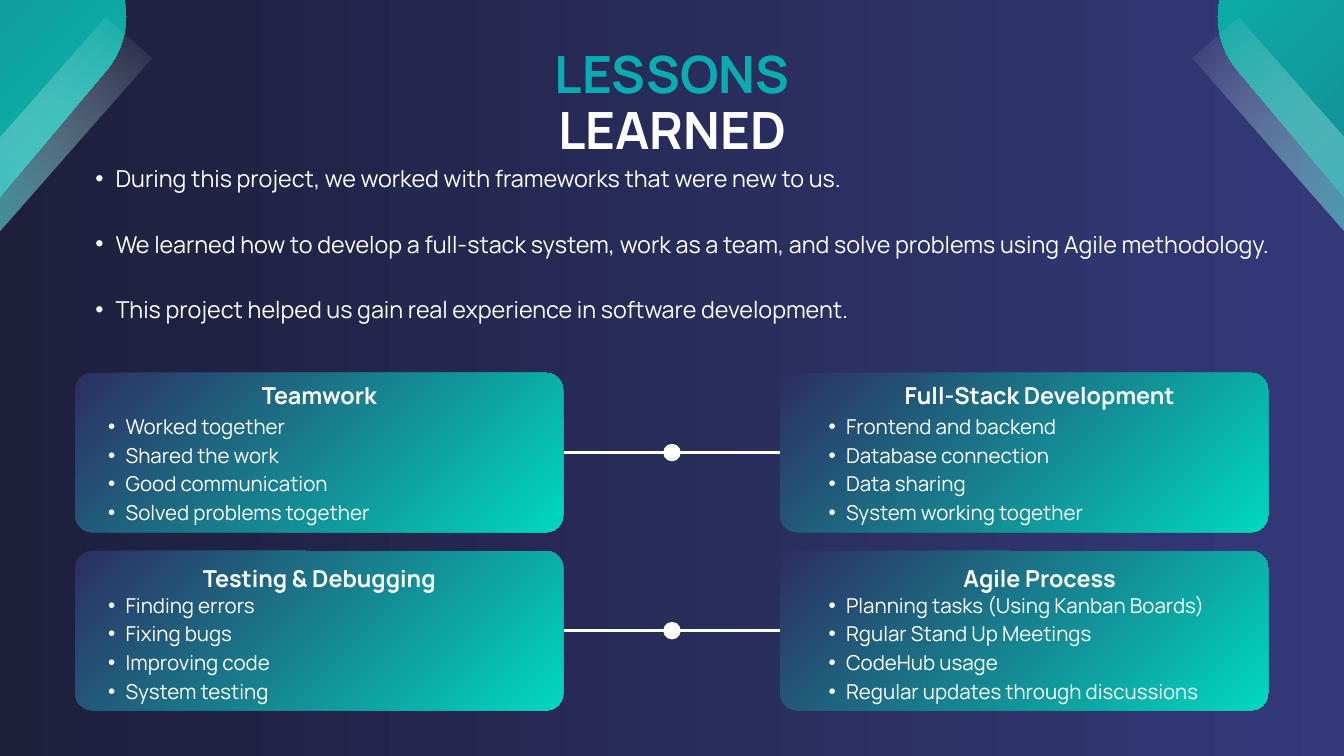
from lxml import etree
from pptx import Presentation
from pptx.dml.color import RGBColor
from pptx.enum.shapes import MSO_CONNECTOR as Link, MSO_SHAPE as Kind
from pptx.enum.text import PP_ALIGN as Align
from pptx.oxml.ns import qn
from pptx.util import Inches, Pt

NAVY, MINT, TEAL, WHITE = "2D2E62", "00D8BE", "08ACB1", "FFFFFF"
FONT = "Manrope"
CARD_W, CARD_H = 7.26, 2.37
# left edge of card, of its heading and of its list
COLS = [(1.12, 1.74, 1.35), (11.61, 12.46, 12.07)]
# top edge of card, of its headings and of its lists
ROWS = [(5.55, 5.6, 6.1), (8.2, 8.33, 8.76)]
CARDS = [
    [
        ("Teamwork", ["Worked together", "Shared the work",
                      "Good communication", "Solved problems together"]),
        ("Full-Stack Development", ["Frontend and backend", "Database connection",
                                    "Data sharing", "System working together"]),
    ],
    [
        ("Testing & Debugging", ["Finding errors", "Fixing bugs",
                                 "Improving code", "System testing"]),
        ("Agile Process", ["Planning tasks (Using Kanban Boards)",
                           "Rgular Stand Up Meetings", "CodeHub usage",
                           "Regular updates through discussions"]),
    ],
]
POINTS = [
    "During this project, we worked with frameworks that were new to us.",
    "We learned how to develop a full-stack system, work as a team, "
    "and solve problems using Agile methodology.",
    "This project helped us gain real experience in software development.",
]


def rgb(code):
    return RGBColor.from_string(code)


def blend(fill, first, last, angle=45, clear=None):
    """Linear gradient, angle clockwise; the stop with index clear is transparent."""
    fill.gradient()
    fill.gradient_angle = (360 - angle) % 360
    for i, code in enumerate((first, last)):
        stop = fill.gradient_stops[i]
        stop.position = i
        stop.color.rgb = rgb(code)
        if i == clear:
            # Stop colours have no public transparency setting.
            tint = stop._gs.find(qn("a:srgbClr"))
            etree.SubElement(tint, qn("a:alpha")).set("val", "0")


def plain(shape):
    shape.shadow.inherit = False
    shape.line.fill.background()
    return shape


def block(slide, kind, x, y, w, h):
    return plain(slide.shapes.add_shape(kind, Inches(x), Inches(y), Inches(w), Inches(h)))


def write(slide, text, x, y, w, h, size=25, color=WHITE, bold=False,
          align=Align.LEFT, indent=None, gap=0):
    """Text box with a paragraph per line; an indent in inches gives bullets."""
    frame = slide.shapes.add_textbox(Inches(x), Inches(y), Inches(w), Inches(h)).text_frame
    frame.word_wrap = True
    frame.margin_left = frame.margin_right = frame.margin_top = frame.margin_bottom = 0
    frame.text = text
    for i, para in enumerate(frame.paragraphs):
        para.alignment = align
        para.line_spacing = Pt(size * 1.4)
        if i and gap:
            para.space_before = Pt(gap)
        if indent:
            props = para._p.get_or_add_pPr()
            props.set("marL", str(Inches(2 * indent)))
            props.set("indent", str(-Inches(indent)))
            etree.SubElement(props, qn("a:buFont")).set("typeface", "Arial")
            etree.SubElement(props, qn("a:buChar")).set("char", "•")
        for run in para.runs:
            run.font.name, run.font.size, run.font.bold = FONT, Pt(size), bold
            run.font.color.rgb = rgb(color)


def curve(a, b, c, d, end=1, steps=8):
    """Points on a cubic Bezier curve from t = 0 to t = end."""
    points = []
    for i in range(steps + 1):
        t = end * i / steps
        u = 1 - t
        points.append(tuple(u**3 * p + 3 * u * u * t * q + 3 * u * t * t * r + t**3 * s
                            for p, q, r, s in zip(a, b, c, d)))
    return points


def diamond(slide, x, y, first, last):
    """Rounded diamond centred on x, y, made from one quarter by symmetry."""
    quarter = curve((0, -7.25), (0.26, -7.25), (0.5, -7.13), (0.67, -6.94))
    quarter += curve((5.85, -0.79), (6.23, -0.33), (6.23, 0.33), (5.85, 0.79), end=0.5)
    half = quarter + [(px, -py) for px, py in reversed(quarter)]
    outline = half + [(-px, py) for px, py in reversed(half)]
    points = [(Inches(x + px), Inches(y + py)) for px, py in outline]
    pen = slide.shapes.build_freeform(*points[0])
    pen.add_line_segments(points[1:], close=True)
    blend(plain(pen.convert_to_shape()).fill, first, last)


def band(slide, x, turn, first, last, clear):
    shape = block(slide, Kind.RECTANGLE, x, 1.86, 4.69, 0.92)
    shape.rotation = turn
    blend(shape.fill, first, last, angle=0, clear=clear)


def link(slide, y):
    """Line that runs beneath a row of cards."""
    line = slide.shapes.add_connector(
        Link.STRAIGHT, Inches(6.45), Inches(y), Inches(13.55), Inches(y))
    line.line.color.rgb = rgb(WHITE)
    line.line.width = Pt(3.75)
    etree.SubElement(line._element.spPr, qn("a:effectLst"))


def dot(slide, y, size=0.26):
    shape = block(slide, Kind.OVAL, 10 - size / 2, y - size / 2, size, size)
    shape.fill.solid()
    shape.fill.fore_color.rgb = rgb(WHITE)


def card(slide, x, y):
    shape = block(slide, Kind.ROUNDED_RECTANGLE, x, y, CARD_W, CARD_H)
    shape.adjustments[0] = 0.25 / CARD_H
    blend(shape.fill, NAVY, MINT)


def main():
    deck = Presentation()
    deck.slide_width, deck.slide_height = Inches(20), Inches(11.25)
    slide = deck.slides.add_slide(deck.slide_layouts[6])
    blend(slide.background.fill, "1D1F3B", "333979", angle=0)

    diamond(slide, -4.26, 0.25, NAVY, MINT)
    diamond(slide, 24.26, 0.25, MINT, NAVY)
    band(slide, -1.98, 131.3, WHITE, TEAL, clear=0)
    band(slide, 17.29, 228.7, TEAL, WHITE, clear=1)

    write(slide, "LESSONS", 4.13, 0.48, 11.74, 1.08, size=55, color=TEAL,
          bold=True, align=Align.CENTER)
    write(slide, "LEARNED", 5.28, 1.31, 9.45, 1.08, size=55,
          bold=True, align=Align.CENTER)
    write(slide, "\n".join(POINTS), 1.12, 2.38, 18.88, 2.88, indent=0.3, gap=35)

    for (top, head_y, list_y), row in zip(ROWS, CARDS):
        mid = top + CARD_H / 2
        link(slide, mid)
        dot(slide, mid)
        for (left, head_x, list_x), (title, items) in zip(COLS, row):
            card(slide, left, top)
            write(slide, title, head_x, head_y, 6.02, 0.48, bold=True, align=Align.CENTER)
            write(slide, "\n".join(items), list_x, list_y, 6.81, 1.71, size=22, indent=0.26)

    deck.save("out.pptx")


if __name__ == "__main__":
    main()
